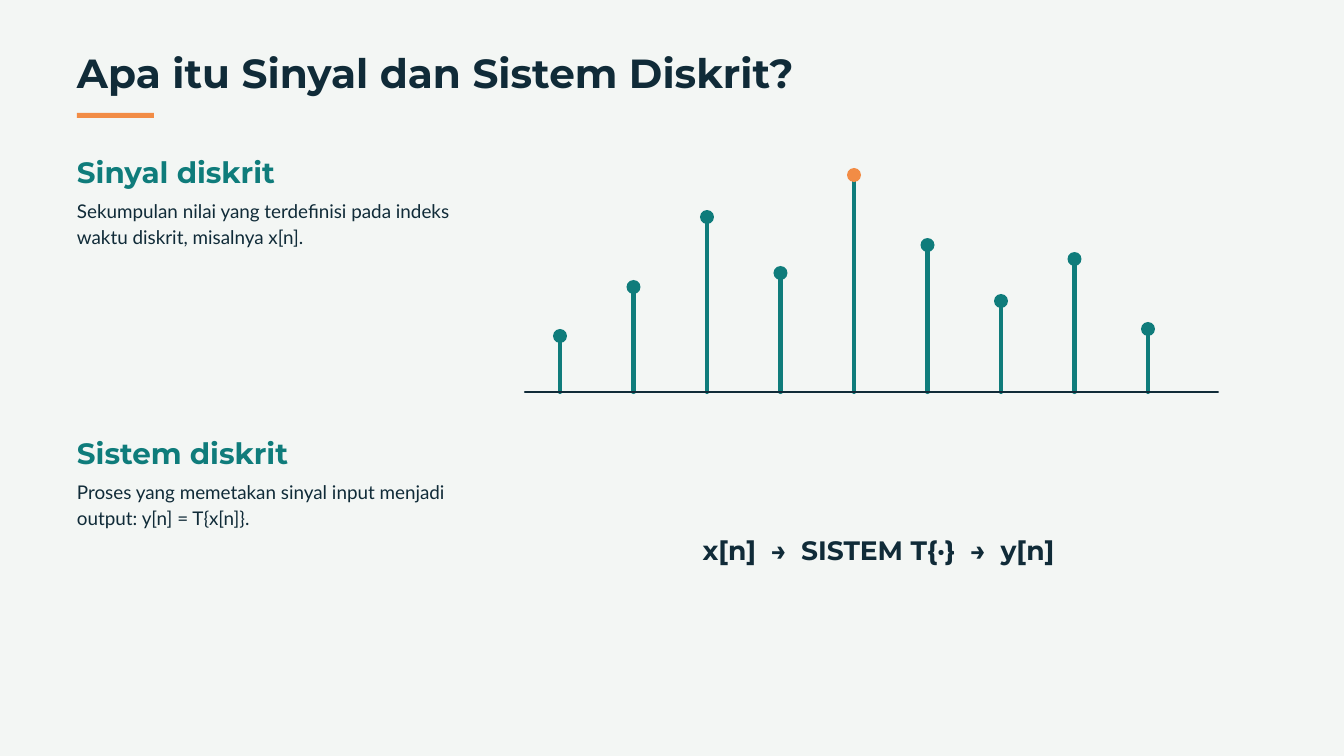
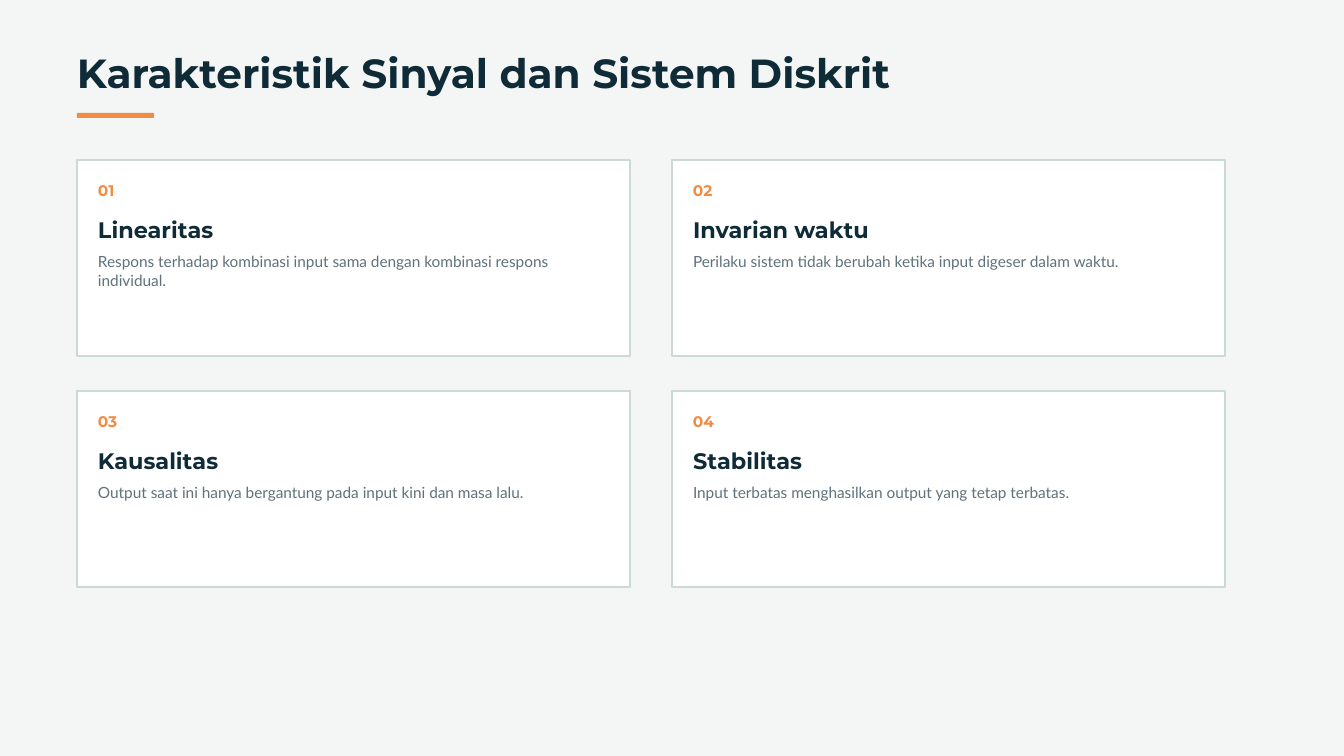
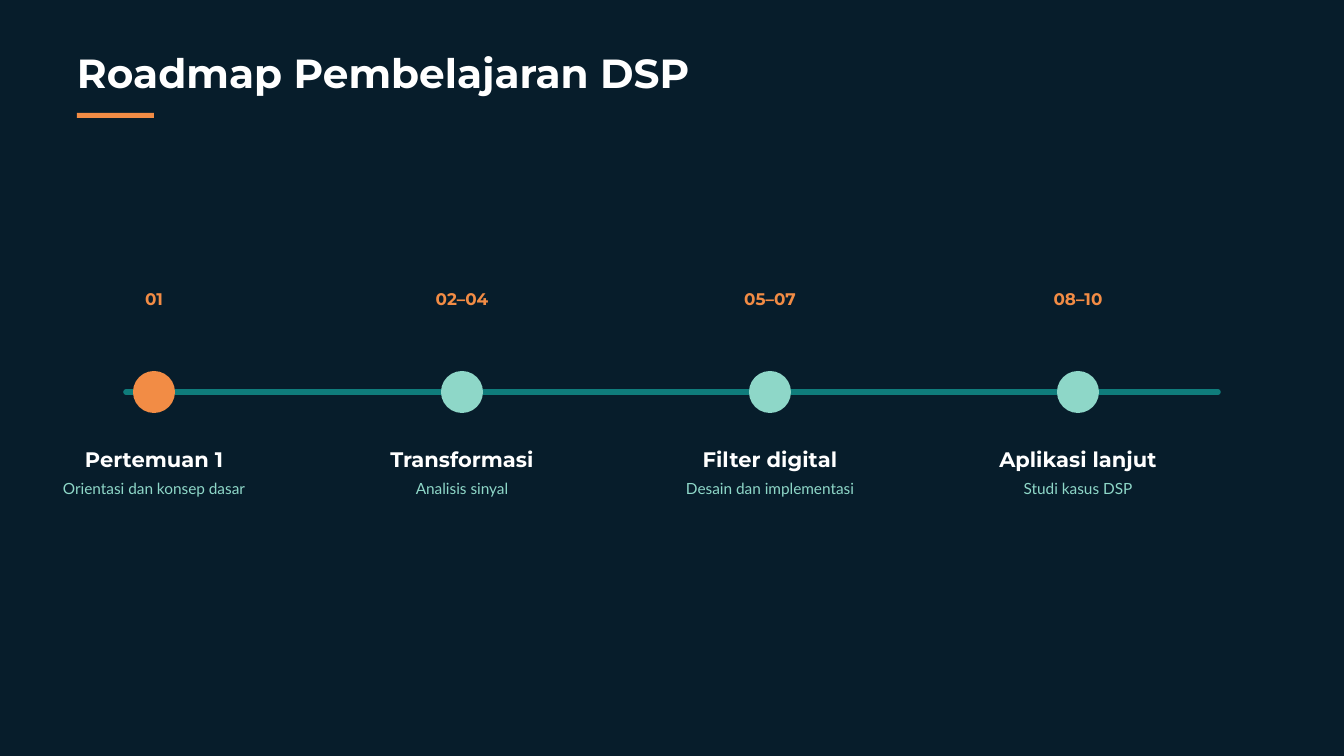
"""Build three slides on discrete signals, their properties and a course roadmap."""
from dataclasses import dataclass, replace
from itertools import product

from lxml.etree import SubElement
from pptx import Presentation
from pptx.dml.color import RGBColor
from pptx.enum.shapes import MSO_CONNECTOR as CONN, MSO_SHAPE as SHAPE
from pptx.enum.text import MSO_ANCHOR as ANCHOR, MSO_AUTO_SIZE as FIT, PP_ALIGN as ALIGN
from pptx.oxml.ns import qn
from pptx.util import Pt

COLORS = {
    "paper": "F3F6F4", "night": "071D2B", "ink": "102B38", "teal": "0F7C7B",
    "orange": "F28C45", "mint": "8ED7C8", "white": "FFFFFF", "border": "CBD9D7",
    "gray": "5F727B",
}
MARGIN = 82.5
BASELINE = 420


@dataclass(frozen=True)
class Style:
    font: str
    size: float
    leading: float
    color: str
    bold: bool = True
    align: ALIGN = ALIGN.LEFT


@dataclass(frozen=True)
class Box:
    x: float
    y: float
    w: float
    h: float

    def lengths(self) -> tuple:
        return tuple(Pt(v) for v in (self.x, self.y, self.w, self.h))


@dataclass(frozen=True)
class Entry:
    heading: str
    body: str
    number: str = ""


TITLE = Style("Montserrat", 43.5, 47, "ink")
HEADING = Style("Montserrat", 31.5, 44.1, "teal")
BODY = Style("Lato", 20.2, 27.3, "ink", bold=False)
FORMULA = Style("Montserrat", 28.5, 39.9, "ink", align=ALIGN.CENTER)
CARD_NUMBER = Style("Montserrat", 16.5, 23.1, "orange")
CARD_HEADING = Style("Montserrat", 24, 33.6, "ink")
CARD_BODY = Style("Lato", 16.5, 21.4, "gray", bold=False)
STEP_NUMBER = Style("Montserrat", 18, 25.2, "orange", align=ALIGN.CENTER)
STEP_HEADING = Style("Montserrat", 22.5, 31.5, "white", align=ALIGN.CENTER)
STEP_BODY = Style("Lato", 16.5, 23.1, "mint", bold=False, align=ALIGN.CENTER)

DEFINITIONS = (
    Entry("Sinyal diskrit",
          "Sekumpulan nilai yang terdefinisi pada indeks waktu diskrit, misalnya x[n]."),
    Entry("Sistem diskrit",
          "Proses yang memetakan sinyal input menjadi output: y[n] = T{x[n]}."),
)
SAMPLES = (60, 112.5, 187.5, 127.5, 232.5, 157.5, 97.5, 142.5, 67.5)
FORMULA_PARTS = ("x[n]", "→", "SISTEM T{·}", "→", "y[n]")
PROPERTIES = (
    Entry("Linearitas",
          "Respons terhadap kombinasi input sama dengan kombinasi respons individual.", "01"),
    Entry("Invarian waktu",
          "Perilaku sistem tidak berubah ketika input digeser dalam waktu.", "02"),
    Entry("Kausalitas",
          "Output saat ini hanya bergantung pada input kini dan masa lalu.", "03"),
    Entry("Stabilitas",
          "Input terbatas menghasilkan output yang tetap terbatas.", "04"),
)
MILESTONES = (
    Entry("Pertemuan 1", "Orientasi dan konsep dasar", "01"),
    Entry("Transformasi", "Analisis sinyal", "02–04"),
    Entry("Filter digital", "Desain dan implementasi", "05–07"),
    Entry("Aplikasi lanjut", "Studi kasus DSP", "08–10"),
)


def rgb(name: str) -> RGBColor:
    return RGBColor.from_string(COLORS[name])


def add_run(p, text: str, style: Style):
    r = p.add_run()
    r.text = text
    formats = {"name": style.font, "size": Pt(style.size), "bold": style.bold}
    for attr, value in formats.items():
        setattr(r.font, attr, value)
    r.font.color.rgb = rgb(style.color)
    return r


def set_frame(tf, style: Style, fit: FIT):
    formats = {
        "margin_left": 0, "margin_top": 0, "margin_right": 0, "margin_bottom": 0,
        "word_wrap": True, "auto_size": fit, "vertical_anchor": ANCHOR.TOP,
    }
    for attr, value in formats.items():
        setattr(tf, attr, value)
    p = tf.paragraphs[0]
    p.alignment = style.align
    p.line_spacing = Pt(style.leading)
    return p


def add_text(s, box: Box, style: Style, text: str = ""):
    tf = s.shapes.add_textbox(*box.lengths()).text_frame
    p = set_frame(tf, style, FIT.SHAPE_TO_FIT_TEXT)
    if text:
        add_run(p, text, style)
    return p


def add_block(s, kind: SHAPE, box: Box, fill: str, border: str = "") -> None:
    sp = s.shapes.add_shape(kind, *box.lengths())
    sp.shadow.inherit = False
    sp.fill.solid()
    sp.fill.fore_color.rgb = rgb(fill)
    if border:
        sp.line.color.rgb = rgb(border)
        sp.line.width = Pt(1.5)
    else:
        sp.line.fill.background()


def add_dot(s, x: float, y: float, size: float, fill: str) -> None:
    add_block(s, SHAPE.OVAL, Box(x - size / 2, y - size / 2, size, size), fill)


def add_line(s, x1: float, y1: float, x2: float, y2: float, color: str, width: float) -> None:
    cxn = s.shapes.add_connector(CONN.STRAIGHT, Pt(x1), Pt(y1), Pt(x2), Pt(y2))
    cxn.line.color.rgb = rgb(color)
    cxn.line.width = Pt(width)
    cxn.line._get_or_add_ln().set("cap", "rnd")
    SubElement(cxn._element.spPr, qn("a:effectLst"))


def new_slide(prs, title: str, background: str = "paper", color: str = "ink"):
    s = prs.slides.add_slide(prs.slide_layouts[5])
    s.background.fill.solid()
    s.background.fill.fore_color.rgb = rgb(background)
    sp = s.shapes.title
    sp.left, sp.top, sp.width, sp.height = Box(MARGIN, 57, 1125, 47.5).lengths()
    style = replace(TITLE, color=color)
    add_run(set_frame(sp.text_frame, style, FIT.NONE), title, style)
    add_block(s, SHAPE.RECTANGLE, Box(MARGIN, 121, 82.5, 5.25), "orange")
    return s


def build_definitions(prs) -> None:
    s = new_slide(prs, "Apa itu Sinyal dan Sistem Diskrit?")
    for i, entry in enumerate(DEFINITIONS):
        y = 159 + 301 * i
        add_text(s, Box(MARGIN, y, 390, 42.5), HEADING, entry.heading)
        add_text(s, Box(MARGIN, y + 52, 420, 53.5), BODY, entry.body)
    for i, height in enumerate(SAMPLES):
        x, y = 600 + 78.75 * i, BASELINE - height
        add_line(s, x, BASELINE, x, y, "teal", 4.5)
        add_dot(s, x, y, 15, "orange" if height == max(SAMPLES) else "teal")
    add_line(s, 562.5, BASELINE, 1305, BASELINE, "ink", 2.25)

    p = add_text(s, Box(622.5, 566, 637.5, 38), FORMULA)
    for i, part in enumerate(FORMULA_PARTS):
        if i:
            gap = add_run(p, " ", FORMULA)
            gap._r.get_or_add_rPr().set("spc", "750")
        add_run(p, part, FORMULA)


def build_properties(prs) -> None:
    s = new_slide(prs, "Karakteristik Sinyal dan Sistem Diskrit")
    for (row, col), entry in zip(product(range(2), repeat=2), PROPERTIES):
        x, y = MARGIN + 637.5 * col, 171.5 + 247.5 * row
        add_block(s, SHAPE.RECTANGLE, Box(x, y, 592.5, 210), "white", "border")
        left = x + 22.5
        add_text(s, Box(left, y + 19, 45, 21.5), CARD_NUMBER, entry.number)
        add_text(s, Box(left, y + 55, 547.5, 30), CARD_HEADING, entry.heading)
        add_text(s, Box(left, y + 96.5, 547.5, 20), CARD_BODY, entry.body)


def build_roadmap(prs) -> None:
    s = new_slide(prs, "Roadmap Pembelajaran DSP", "night", "white")
    add_line(s, 135, BASELINE, 1305, BASELINE, "teal", 6)
    for i, entry in enumerate(MILESTONES):
        x = 165 + 330 * i
        add_dot(s, x, BASELINE, 45, "mint" if i else "orange")
        add_text(s, Box(x - 93.75, 305.25, 187.5, 24), STEP_NUMBER, entry.number)
        add_text(s, Box(x - 135, 474, 270, 29.5), STEP_HEADING, entry.heading)
        add_text(s, Box(x - 135, 510, 270, 21.5), STEP_BODY, entry.body)


def main() -> None:
    prs = Presentation()
    prs.slide_width, prs.slide_height = Pt(1440), Pt(810)
    build_definitions(prs)
    build_properties(prs)
    build_roadmap(prs)
    prs.save("out.pptx")


if __name__ == "__main__":
    main()
